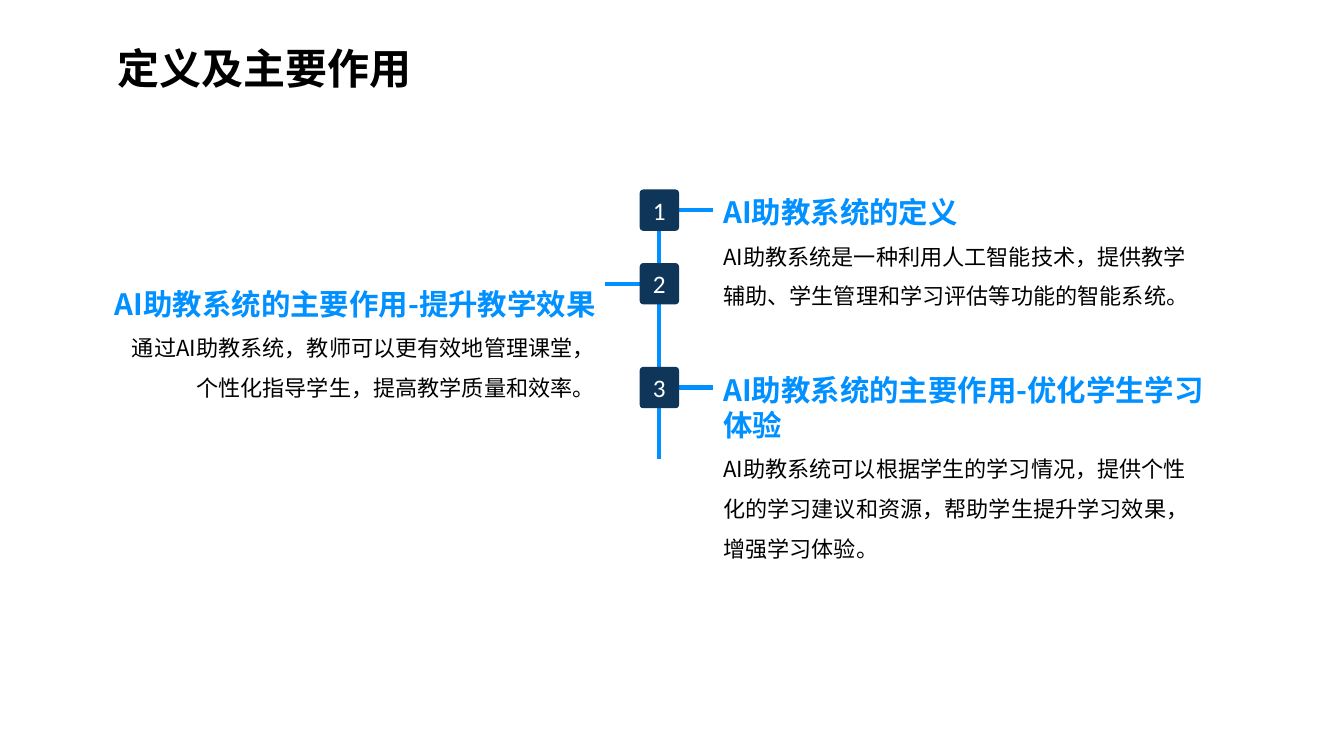
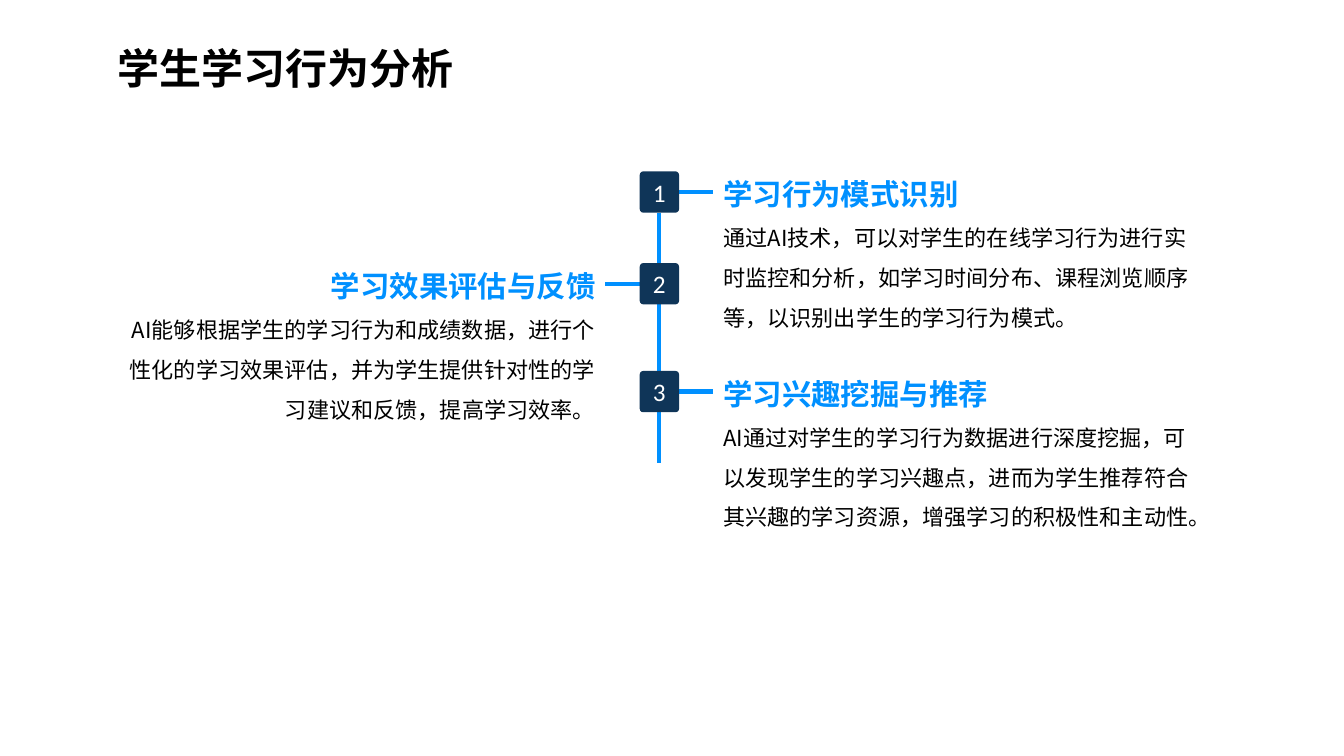
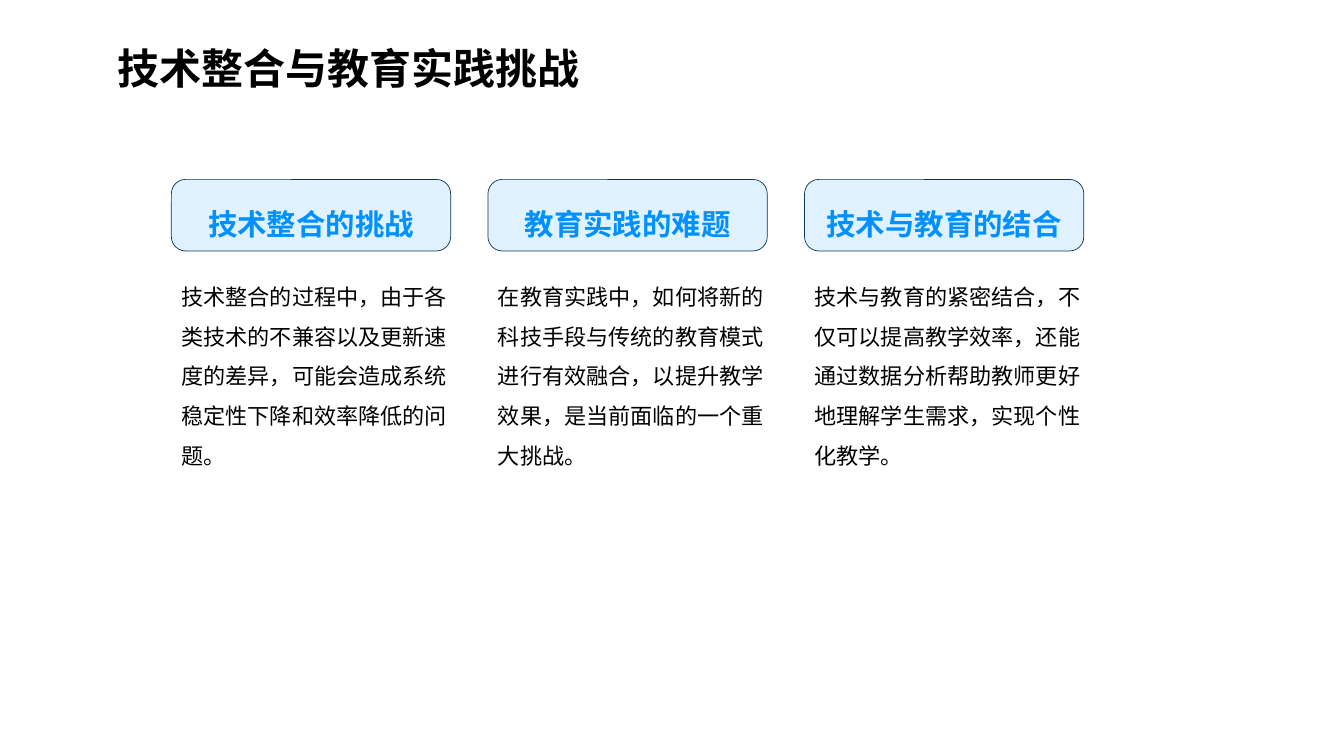
from dataclasses import dataclass

from lxml.etree import SubElement
from pptx import Presentation
from pptx.dml.color import RGBColor as RGB
from pptx.enum.shapes import MSO_CONNECTOR as LINE, MSO_SHAPE as SHAPE
from pptx.enum.text import MSO_ANCHOR as ANCHOR, MSO_AUTO_SIZE as FIT, PP_ALIGN as ALIGN
from pptx.oxml.ns import qn
from pptx.util import Inches as In, Pt


@dataclass(frozen=True)
class Theme:
    blue: str = "0090FF"
    navy: str = "0F3558"
    pale: str = "E0F2FF"
    black: str = "000000"
    white: str = "FFFFFF"
    cjk: str = "Noto Sans CJK SC"
    latin: str = "Calibri"
    title: float = 30
    head: float = 21
    body: float = 15.8
    mark: float = 18


T = Theme()

# Content: timeline items are (top, text height, heading, body)
TIMES = [
    ("定义及主要作用", [
        (1.88, 1.24, "AI助教系统的定义",
         "AI助教系统是一种利用人工智能技术，提供教学辅助、学生管理和学习评估等功能的智能系统。"),
        (2.61, 1.59, "AI助教系统的主要作用-提升教学效果",
         "通过AI助教系统，教师可以更有效地管理课堂，个性化指导学生，提高教学质量和效率。"),
        (3.64, 1.98, "AI助教系统的主要作用-优化学生学习体验",
         "AI助教系统可以根据学生的学习情况，提供个性化的学习建议和资源，帮助学生提升学习效果，增强学习体验。"),
    ]),
    ("学生学习行为分析", [
        (1.7, 1.63, "学习行为模式识别",
         "通过AI技术，可以对学生的在线学习行为进行实时监控和分析，如学习时间分布、课程浏览顺序等，以识别出学生的学习行为模式。"),
        (2.61, 1.63, "学习效果评估与反馈",
         "AI能够根据学生的学习行为和成绩数据，进行个性化的学习效果评估，并为学生提供针对性的学习建议和反馈，提高学习效率。"),
        (3.68, 1.63, "学习兴趣挖掘与推荐",
         "AI通过对学生的学习行为数据进行深度挖掘，可以发现学生的学习兴趣点，进而为学生推荐符合其兴趣的学习资源，增强学习的积极性和主动性。"),
    ]),
]
CARDS = ("技术整合与教育实践挑战", [
    ("技术整合的挑战",
     "技术整合的过程中，由于各类技术的不兼容以及更新速度的差异，可能会造成系统稳定性下降和效率降低的问题。"),
    ("教育实践的难题",
     "在教育实践中，如何将新的科技手段与传统的教育模式进行有效融合，以提升教学效果，是当前面临的一个重大挑战。"),
    ("技术与教育的结合",
     "技术与教育的紧密结合，不仅可以提高教学效率，还能通过数据分析帮助教师更好地理解学生需求，实现个性化教学。"),
])

# Grid, in inches
LEFT = 1.07
AXIS = 6.54             # centre line of the timeline
NODE_W, NODE_H = 0.39, 0.41
ARM = 0.34              # from node to text
TEXT_W = 4.97
TAIL = 0.5              # spine below the last node
CARD_X, CARD_W, STEP = 1.7, 2.77, 3.14


# Shared parts
def write(shape, paras, align=ALIGN.LEFT, inset=None):
    """Fill a shape with (text, size, colour, bold, spacing, font) rows."""
    frame = shape.text_frame
    frame.word_wrap = True
    frame.auto_size = FIT.NONE
    frame.vertical_anchor = ANCHOR.MIDDLE
    if inset is not None:
        frame.margin_left = frame.margin_right = In(inset)
        frame.margin_top = frame.margin_bottom = In(inset)
    for i, (text, size, color, bold, gap, face) in enumerate(paras):
        para = frame.add_paragraph() if i else frame.paragraphs[0]
        para.text = text
        para.alignment = align
        para.line_spacing = Pt(round(size * 1.2 * gap, 1))
        font = para.font
        font.size, font.bold, font.name = Pt(size), bold, face
        font.color.rgb = RGB.from_string(color)
        SubElement(para._p.pPr.find(qn("a:defRPr")), qn("a:ea"), typeface=face)


def head(text, gap=1.0):
    return text, T.head, T.blue, True, gap, T.cjk


def body(text):
    return text, T.body, T.black, False, 1.5, T.cjk


def start(deck, title):
    slide = deck.slides.add_slide(deck.slide_layouts[5])
    box = slide.shapes.title
    box.left, box.top, box.width, box.height = map(In, (LEFT, 0.12, 10.25, 0.85))
    write(box, [(title, T.title, T.black, True, 1.5, T.cjk)])
    return slide.shapes


def label(shapes, x, y, w, h, paras, align=ALIGN.LEFT):
    write(shapes.add_textbox(*map(In, (x, y, w, h))), paras, align)


def block(shapes, x, y, w, h, fill, bend, edge=None):
    box = shapes.add_shape(SHAPE.ROUNDED_RECTANGLE, *map(In, (x, y, w, h)))
    box.adjustments[0] = bend
    box.shadow.inherit = False
    box.fill.solid()
    box.fill.fore_color.rgb = RGB.from_string(fill)
    if edge:
        box.line.color.rgb = RGB.from_string(edge)
        box.line.width = Pt(0.5)
    else:
        box.line.fill.background()
    return box


def rule(shapes, x1, y1, x2, y2):
    line = shapes.add_connector(LINE.STRAIGHT, *map(In, (x1, y1, x2, y2)))
    line.line.color.rgb = RGB.from_string(T.blue)
    line.line.width = Pt(3)
    SubElement(line._element.spPr, qn("a:effectLst"))


# Slide kinds
def timeline(deck, title, items):
    shapes = start(deck, title)
    half = NODE_W / 2
    ends = [item[0] for item in items[1:]] + [items[-1][0] + NODE_H + TAIL]
    for i, ((top, tall, name, text), end) in enumerate(zip(items, ends)):
        side = -1 if i % 2 else 1
        near = AXIS + side * half
        far = near + side * ARM
        mid = top + NODE_H / 2
        x = far if side > 0 else far - TEXT_W
        align = ALIGN.LEFT if side > 0 else ALIGN.RIGHT
        label(shapes, x, top, TEXT_W, tall, [head(name), body(text)], align)
        rule(shapes, AXIS, top + NODE_H, AXIS, end)
        rule(shapes, near, mid, far, mid)
        node = block(shapes, AXIS - half, top, NODE_W, NODE_H, T.navy, 0.09)
        write(node, [(str(i + 1), T.mark, T.white, False, 1, T.latin)], ALIGN.CENTER, 0)


def cards(deck, title, items):
    shapes = start(deck, title)
    for i, (name, text) in enumerate(items):
        x = CARD_X + i * STEP
        label(shapes, x, 2.63, CARD_W + 0.15, 2.07, [body(text)])
        card = block(shapes, x, 1.78, CARD_W, 0.71, T.pale, 0.2, T.navy)
        write(card, [head(name, 1.5)], ALIGN.CENTER)


def main():
    deck = Presentation()
    deck.slide_width, deck.slide_height = In(13.33), In(7.5)
    for title, items in TIMES:
        timeline(deck, title, items)
    cards(deck, *CARDS)
    deck.save("out.pptx")


if __name__ == "__main__":
    main()
